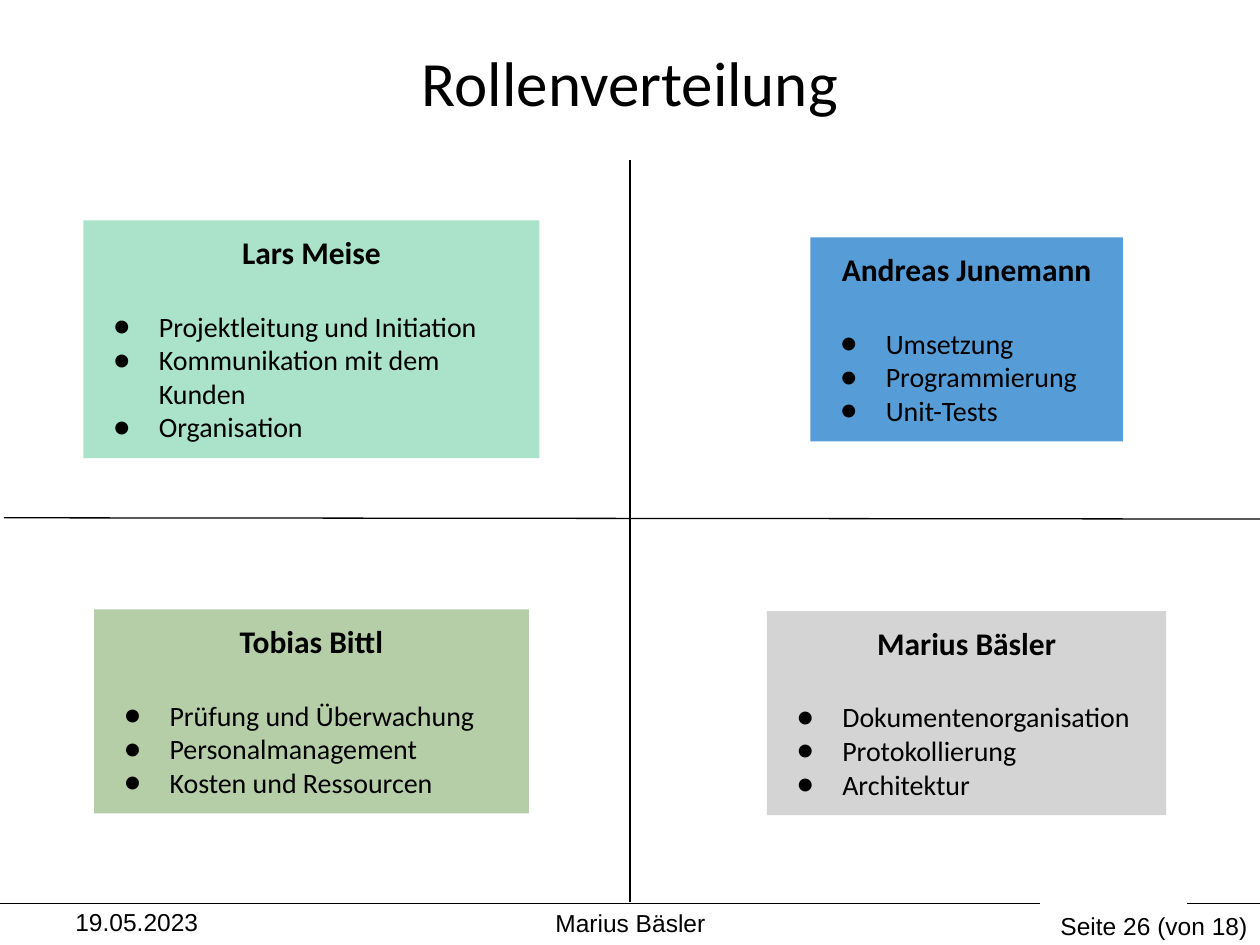
"""Build the slide that shows how the project roles are shared out."""
from pptx import Presentation
from pptx.dml.color import RGBColor
from pptx.enum.shapes import MSO_CONNECTOR as CONN, MSO_SHAPE as SHAPE
from pptx.enum.text import MSO_ANCHOR as ANCHOR, PP_ALIGN as ALIGN
from pptx.oxml.ns import qn
from pptx.util import Pt
from lxml.etree import SubElement

COLORS = {
    "ink": "000000",
    "mint": "AAE2CA",
    "blue": "569CD6",
    "green": "B5CEA8",
    "grey": "D4D4D4",
}
WIDTH, HEIGHT = 720, 540
FOOTER_Y = 516.2
LEFT_X, RIGHT_X = 178, 552.4
TOP_Y, BOTTOM_Y = 193.9, 406.5

ROLES = [
    ("Lars Meise", "mint", (LEFT_X, TOP_Y), (260.6, 136),
     ["Projektleitung und Initiation", "Kommunikation mit dem Kunden", "Organisation"]),
    ("Andreas Junemann", "blue", (RIGHT_X, TOP_Y), (178.6, 116.6),
     ["Umsetzung", "Programmierung", "Unit-Tests"]),
    ("Tobias Bittl", "green", (LEFT_X, BOTTOM_Y), (248.4, 116.6),
     ["Prüfung und Überwachung", "Personalmanagement", "Kosten und Ressourcen"]),
    ("Marius Bäsler", "grey", (RIGHT_X, BOTTOM_Y + 1), (228.2, 116.6),
     ["Dokumentenorganisation", "Protokollierung", "Architektur"]),
]
FOOTERS = [
    ("19.05.2023", (36, 514.8, 167.8, 25.2), ALIGN.LEFT),
    ("Marius Bäsler", (246.2, 515.5, 228.2, 24.5), ALIGN.CENTER),
    ("Seite 26 (von 18)", (516.2, 517, 203.8, 23), ALIGN.RIGHT),
]
LINES = [
    ((594, FOOTER_Y), (0, FOOTER_Y)),
    ((678.2, FOOTER_Y), (WIDTH, FOOTER_Y)),
    ((360, 91.4), (360, 515.5)),
    ((WIDTH, 296.6), (2.2, 295.9)),
]


def rgb(name):
    """Return the named colour."""
    return RGBColor.from_string(COLORS[name])


def write(p, text, size=16, font="Calibri", bold=False, align=ALIGN.LEFT, after=0, bullet=None):
    """Put formatted text into a paragraph."""
    p.alignment = align
    p.space_before, p.space_after = Pt(0), Pt(after)
    if bullet:
        pPr = p._p.get_or_add_pPr()
        pPr.set("marL", str(Pt(36)))
        pPr.set("indent", str(Pt(-26)))
        SubElement(SubElement(pPr, qn("a:buClr")), qn("a:srgbClr"), val=COLORS["ink"])
        SubElement(pPr, qn("a:buFont"), typeface=font)
        SubElement(pPr, qn("a:buChar"), char=bullet)
    r = p.add_run()
    r.text = text
    r.font.size, r.font.name, r.font.bold = Pt(size), font, bold
    r.font.color.rgb = rgb("ink")


class Deck:
    """Hold the style and the current slide."""

    line_width = 0.75
    padding = 7.2

    def __init__(self):
        """Start a presentation with one title slide."""
        self.prs = Presentation()
        self.prs.slide_width, self.prs.slide_height = Pt(WIDTH), Pt(HEIGHT)
        self.s = self.prs.slides.add_slide(self.prs.slide_layouts[5])

    def title(self, text, x, y, w, h):
        """Fill and place the title placeholder."""
        sp = self.s.shapes.title
        sp.left, sp.top, sp.width, sp.height = Pt(x), Pt(y), Pt(w), Pt(h)
        sp.text_frame.vertical_anchor = ANCHOR.MIDDLE
        write(sp.text_frame.paragraphs[0], text, size=36, align=ALIGN.CENTER)

    def label(self, text, box, align):
        """Add a footer text box."""
        tf = self.s.shapes.add_textbox(*map(Pt, box)).text_frame
        tf.word_wrap = True
        write(tf.paragraphs[0], text, size=14, font="Arial", align=align)

    def line(self, start, end):
        """Add a thin straight line."""
        cxn = self.s.shapes.add_connector(CONN.STRAIGHT, *map(Pt, start + end))
        cxn.line.color.rgb = rgb("ink")
        cxn.line.width = Pt(self.line_width)
        SubElement(cxn._element.spPr, qn("a:effectLst"))

    def card(self, name, color, center, size, tasks):
        """Add a person's card around its centre point."""
        (cx, cy), (w, h) = center, size
        sp = self.s.shapes.add_shape(SHAPE.RECTANGLE, Pt(cx - w / 2), Pt(cy - h / 2), Pt(w), Pt(h))
        sp.shadow.inherit = False
        sp.fill.solid()
        sp.fill.fore_color.rgb = rgb(color)
        sp.line.fill.background()
        tf = sp.text_frame
        tf.word_wrap = True
        tf.vertical_anchor = ANCHOR.TOP
        tf.margin_left = tf.margin_right = tf.margin_top = tf.margin_bottom = Pt(self.padding)
        write(tf.paragraphs[0], name, size=18, bold=True, align=ALIGN.CENTER, after=22)
        for task in tasks:
            write(tf.add_paragraph(), task, bullet="●")


def main():
    """Build and save the slide."""
    deck = Deck()
    deck.title("Rollenverteilung", 36, 1.4, 648, 90)
    for footer in FOOTERS:
        deck.label(*footer)
    for role in ROLES:
        deck.card(*role)
    for ends in LINES:
        deck.line(*ends)
    deck.prs.save("out.pptx")


if __name__ == "__main__":
    main()
